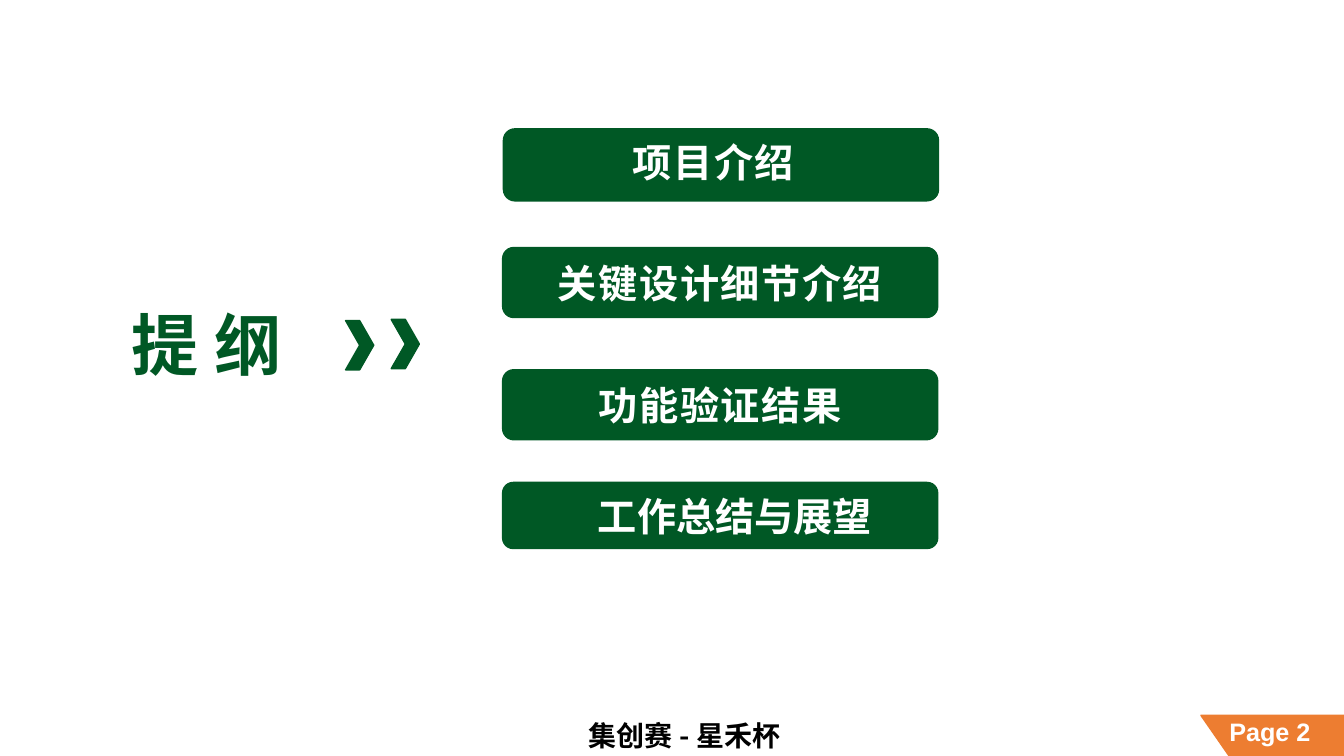
from lxml import etree
from pptx import Presentation
from pptx.dml.color import RGBColor
from pptx.enum.shapes import MSO_SHAPE
from pptx.enum.text import MSO_ANCHOR, MSO_AUTO_SIZE, PP_ALIGN
from pptx.oxml.ns import qn
from pptx.util import Cm, Pt

GREEN = RGBColor(0x00, 0x58, 0x25)
ORANGE = RGBColor(0xED, 0x7D, 0x31)
WHITE = RGBColor(0xFF, 0xFF, 0xFF)
BLACK = RGBColor(0x00, 0x00, 0x00)
CJK = "Noto Sans CJK SC"
LATIN = "Arial"
ROUND_RECT = MSO_SHAPE.ROUNDED_RECTANGLE
CHEVRON = MSO_SHAPE.CHEVRON
MANUAL_INPUT = MSO_SHAPE.FLOWCHART_MANUAL_INPUT
LEFT, CENTER = PP_ALIGN.LEFT, PP_ALIGN.CENTER
TOP, MIDDLE = MSO_ANCHOR.TOP, MSO_ANCHOR.MIDDLE
NO_FIT = MSO_AUTO_SIZE.NONE


def write(tf, text, size=28, color=WHITE, font=CJK, align=CENTER, anchor=TOP,
          wrap=True, spacing=1.0, tracking=0):
    tf.auto_size = NO_FIT
    tf.word_wrap = wrap
    tf.vertical_anchor = anchor
    p = tf.paragraphs[0]
    p.alignment = align
    p.line_spacing = spacing
    r = p.add_run()
    r.text = text
    r.font.name = font
    r.font.size = Pt(size)
    r.font.bold = True
    r.font.color.rgb = color
    rPr = r.font._element
    etree.SubElement(rPr, qn("a:ea")).set("typeface", font)
    if tracking:
        rPr.set("spc", str(tracking))


class OutlineSlide:
    """Holds the current slide and draws its elements in the deck style."""

    def __init__(self, prs):
        self.s = prs.slides.add_slide(prs.slide_layouts[5])

    def title(self, text, box, **fmt):
        sp = self.s.shapes.title
        sp.left, sp.top, sp.width, sp.height = map(Cm, box)
        write(sp.text_frame, text, **fmt)

    def text(self, text, box, **fmt):
        sp = self.s.shapes.add_textbox(*map(Cm, box))
        write(sp.text_frame, text, **fmt)

    def shape(self, kind, box, color=GREEN, outlined=False, rotation=0):
        sp = self.s.shapes.add_shape(kind, *map(Cm, box))
        sp.shadow.inherit = False
        sp.rotation = rotation
        sp.fill.solid()
        sp.fill.fore_color.rgb = color
        if outlined:
            sp.line.color.rgb = color
            sp.line.width = Pt(1)
        else:
            sp.line.fill.background()

    def topic(self, text, plate, label, **fmt):
        self.shape(ROUND_RECT, plate)
        self.text(text, label, **fmt)


def main():
    prs = Presentation()
    prs.slide_width, prs.slide_height = Cm(33.87), Cm(19.05)
    slide = OutlineSlide(prs)

    slide.text("集创赛 - 星禾杯", (6.38, 18.03, 21.74, 1.02),
               size=20, color=BLACK, anchor=MIDDLE)
    slide.shape(MANUAL_INPUT, (31.55, 16.74, 1.04, 3.61), ORANGE,
                outlined=True, rotation=270)
    slide.text("Page 2", (30.73, 17.93, 3.3, 1.02),
               size=18, font=LATIN, align=LEFT, wrap=False)

    slide.title("提 纲", (3.07, 7.52, 4.45, 2.31),
                size=48, color=GREEN, align=LEFT, wrap=False)
    for x, y in ((8.71, 8.08), (9.86, 8.05)):
        slide.shape(CHEVRON, (x, y, 0.71, 1.24), outlined=True)

    slide.topic("项目介绍", (12.67, 3.23, 11, 1.85),
                (15.7, 3.35, 6.05, 1.45), align=LEFT, tracking=110)
    for text, y in (("关键设计细节介绍", 6.22), ("功能验证结果", 9.3)):
        slide.topic(text, (12.65, y, 11, 1.8),
                    (13.13, y + 0.18, 10.03, 1.45), tracking=110)
    slide.topic("工作总结与展望", (12.65, 12.14, 11, 1.7),
                (14.81, 12.04, 7.42, 1.68), wrap=False, spacing=1.2)

    prs.save("out.pptx")


if __name__ == "__main__":
    main()
